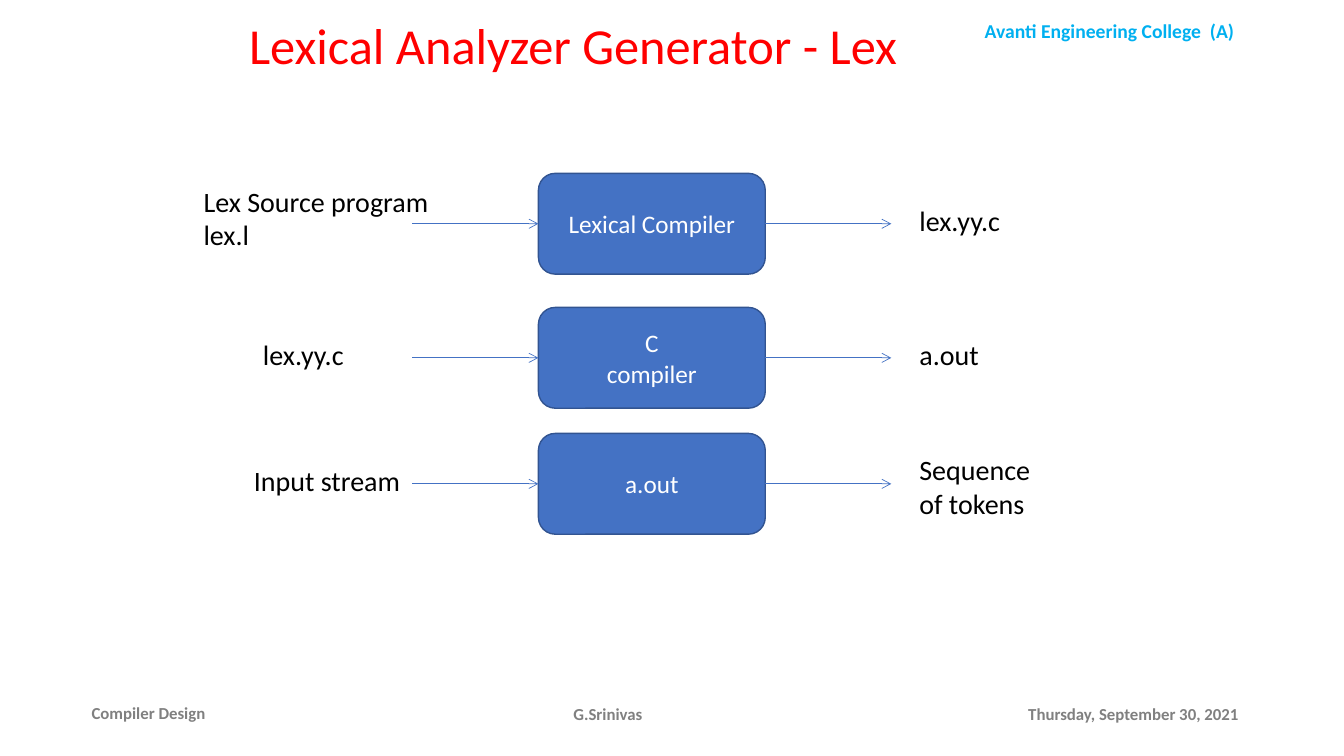
import pptx
import pptx.dml.color
import pptx.enum.shapes
import pptx.enum.text
import pptx.oxml
import pptx.oxml.ns
import pptx.util

Inches = pptx.util.Inches
Pt = pptx.util.Pt
ALIGN = pptx.enum.text.PP_ALIGN
ANCHOR = pptx.enum.text.MSO_ANCHOR
COLORS = {
    "title": "FF0000", "college": "00B0F0", "footer": "808080", "label": "000000",
    "box": "4472C4", "box_line": "325491", "box_text": "FFFFFF",
}


def color(name):
    return pptx.dml.color.RGBColor.from_string(COLORS[name])


def write(shape, text, size=20, ink="label", bold=False, align=ALIGN.LEFT,
          anchor=ANCHOR.TOP, spacing=None):
    """Fill a shape with text, one paragraph per line."""
    frame = shape.text_frame
    frame.word_wrap = True
    frame.auto_size = pptx.enum.text.MSO_AUTO_SIZE.NONE
    frame.vertical_anchor = anchor
    frame.text = text
    for para in frame.paragraphs:
        para.alignment = align
        para.line_spacing = spacing
        for span in para.runs:
            span.font.name = "Calibri"
            span.font.size = Pt(size)
            span.font.bold = bold
            span.font.color.rgb = color(ink)


deck = pptx.Presentation()
deck.slide_width = Inches(13.33)
deck.slide_height = Inches(7.5)
page = deck.slides.add_slide(deck.slide_layouts.get_by_name("Title Only"))
shapes = page.shapes

title = shapes.title
title.left, title.top = Inches(2.37), Inches(0.16)
title.width, title.height = Inches(7.27), Inches(0.78)
write(title, "Lexical Analyzer Generator - Lex", size=36, ink="title", spacing=0.9)

college = shapes.add_textbox(Inches(9.09), Inches(0.14), Inches(3.83), Inches(0.34))
write(college, "Avanti Engineering College  (A)", size=14, ink="college", bold=True,
      align=ALIGN.CENTER)

footers = [
    ("Compiler Design", 0.81, 6.87, 2.11, ALIGN.JUSTIFY),
    ("G.Srinivas", 4.53, 6.88, 3, ALIGN.CENTER),
    ("Thursday, September 30, 2021", 10.1, 6.88, 2.3, ALIGN.LEFT),
]
for text, left, top, width, align in footers:
    footer = shapes.add_textbox(Inches(left), Inches(top), Inches(width), Inches(0.4))
    write(footer, text, size=12, ink="footer", bold=True, align=align,
          anchor=ANCHOR.MIDDLE)

# Each stage: top of box, box text, then input and output as (text, left, top, width, height)
stages = [
    (1.72, "Lexical Compiler",
     ("Lex Source program\nlex.l", 1.92, 1.78, 2.48, 0.77),
     ("lex.yy.c", 9.02, 1.97, 1.4, 0.44)),
    (3.05, "C\ncompiler",
     ("lex.yy.c", 2.51, 3.3, 1.73, 0.44),
     ("a.out", 9.02, 3.3, 1.4, 0.44)),
    (4.3, "a.out",
     ("Input stream", 2.42, 4.55, 1.73, 0.44),
     ("Sequence of tokens", 9.02, 4.44, 1.4, 0.77)),
]
box_left, box_width, box_height, arrow_length = 5.34, 2.25, 1, 1.25

for box_top, box_text, stage_input, stage_output in stages:
    box = shapes.add_shape(pptx.enum.shapes.MSO_SHAPE.ROUNDED_RECTANGLE,
                           Inches(box_left), Inches(box_top),
                           Inches(box_width), Inches(box_height))
    box.shadow.inherit = False
    box.fill.solid()
    box.fill.fore_color.rgb = color("box")
    box.line.color.rgb = color("box_line")
    box.line.width = Pt(1)
    write(box, box_text, size=18, ink="box_text", align=ALIGN.CENTER,
          anchor=ANCHOR.MIDDLE)

    middle = Inches(box_top + box_height / 2)
    for start in (box_left - arrow_length, box_left + box_width):
        arrow = shapes.add_connector(pptx.enum.shapes.MSO_CONNECTOR.STRAIGHT,
                                     Inches(start), middle,
                                     Inches(start + arrow_length), middle)
        arrow.line.color.rgb = color("box")
        arrow.line.width = Pt(0.5)
        namespace = pptx.oxml.ns.nsdecls("a")
        arrow.line._get_or_add_ln().append(
            pptx.oxml.parse_xml(f'<a:tailEnd {namespace} type="arrow"/>'))
        arrow._element.spPr.append(pptx.oxml.parse_xml(f"<a:effectLst {namespace}/>"))

    for text, *place in (stage_input, stage_output):
        label = shapes.add_textbox(*map(Inches, place))
        write(label, text)

deck.save("out.pptx")
